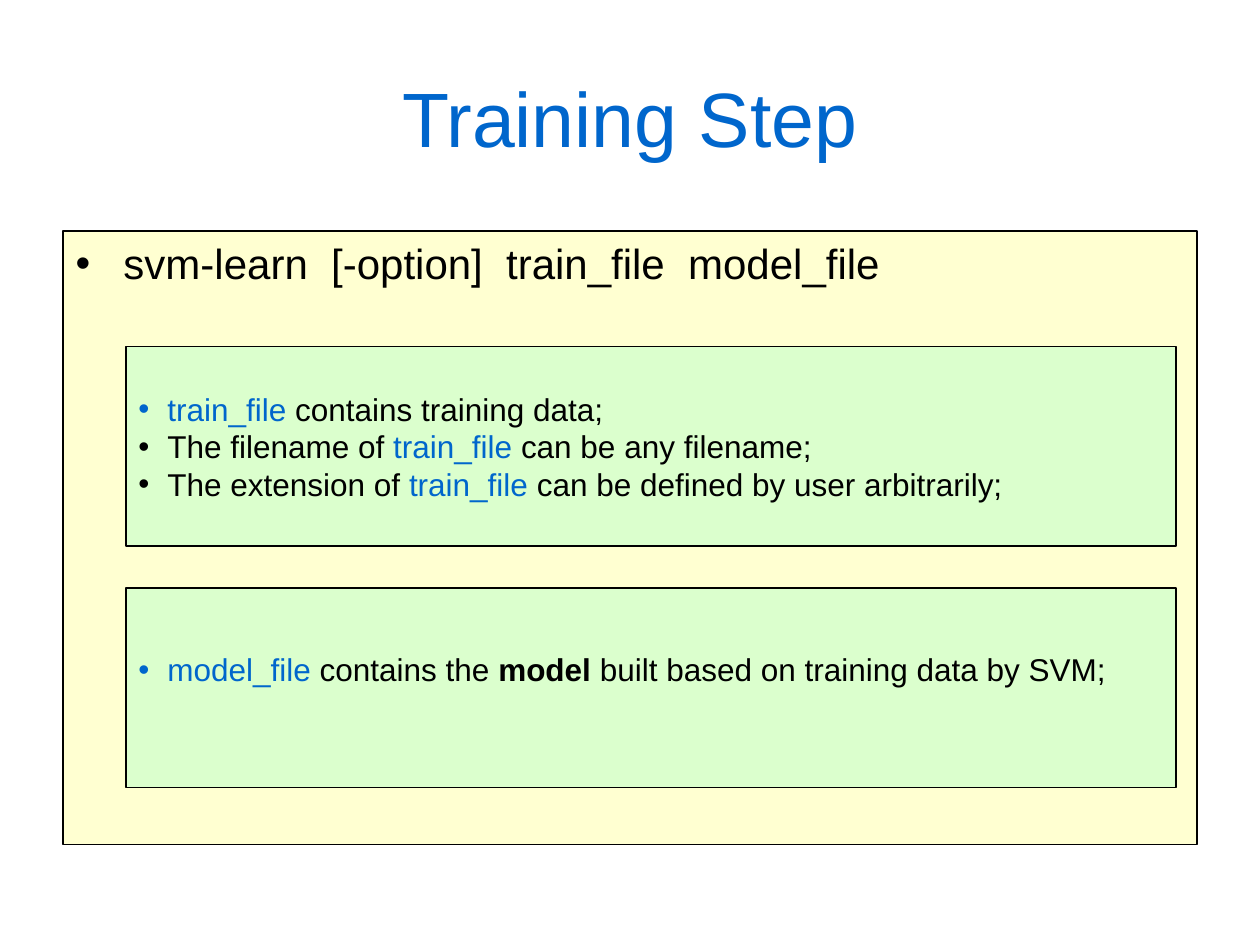
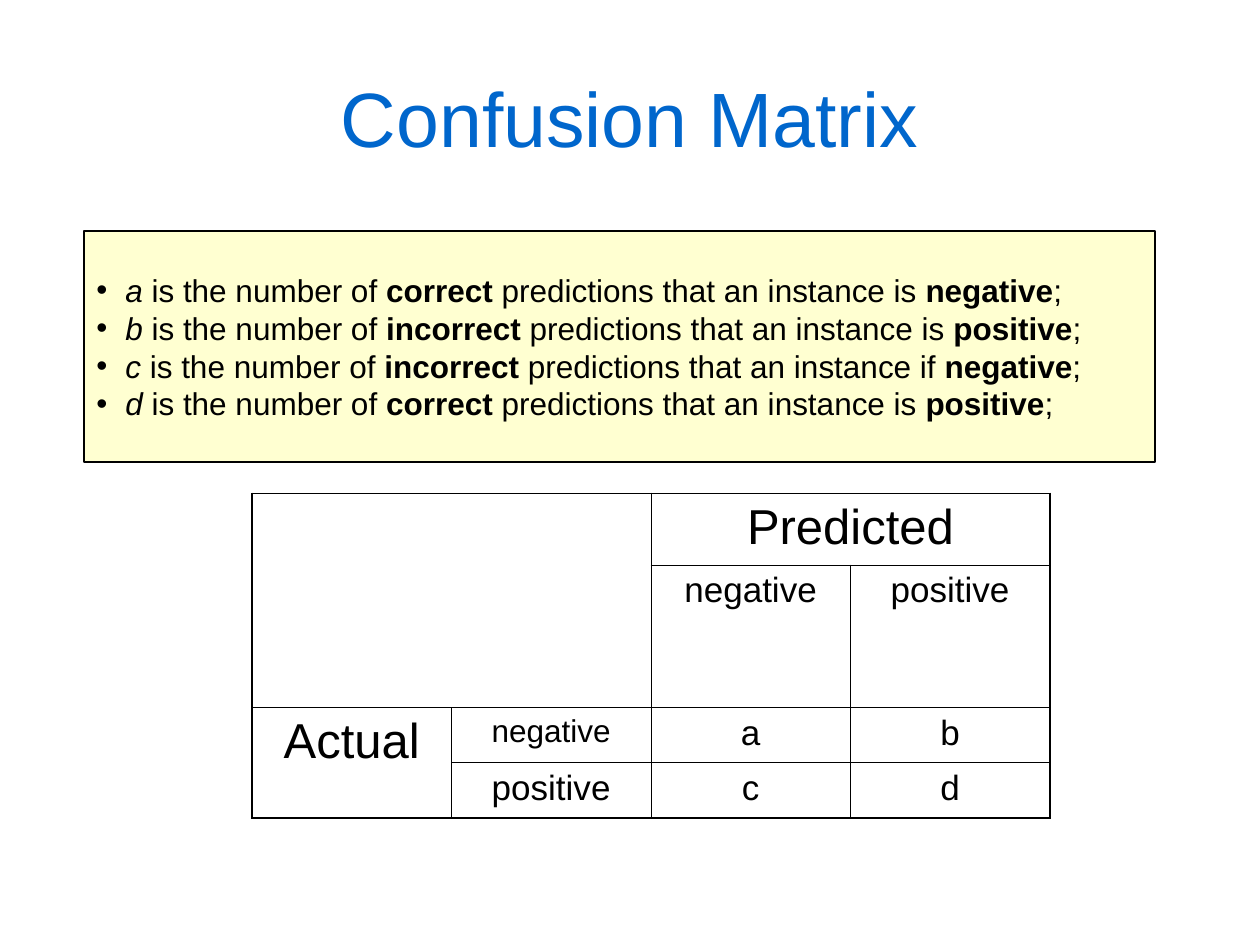
"""Builds two slides on SVM training and the confusion matrix."""
from lxml import etree
from pptx import Presentation
from pptx.dml.color import RGBColor
from pptx.enum.shapes import MSO_SHAPE
from pptx.enum.text import MSO_ANCHOR, PP_ALIGN
from pptx.oxml.ns import qn
from pptx.util import Inches, Pt

RECTANGLE = MSO_SHAPE.RECTANGLE
TOP, MIDDLE = MSO_ANCHOR.TOP, MSO_ANCHOR.MIDDLE
LEFT, CENTER = PP_ALIGN.LEFT, PP_ALIGN.CENTER
BLUE = RGBColor(0x00, 0x66, 0xCC)
BLACK = RGBColor(0x00, 0x00, 0x00)
YELLOW = RGBColor(0xFF, 0xFF, 0xCC)
GREEN = RGBColor(0xCC, 0xFF, 0xCC)
FONT = "Arial"
COLUMNS, ROWS = 120, 90
TITLE_AND_CONTENT, TITLE_ONLY = 1, 5


def add_text(paragraph, text, size=18, color=BLACK, bold=False, italic=False):
    """Append one formatted run to a paragraph."""
    run = paragraph.add_run()
    run.text = text
    font = run.font
    font.name, font.size = FONT, Pt(size)
    font.bold, font.italic = bold, italic
    font.color.rgb = color


def add_element(parent, tag, **attributes):
    """Append a drawing element to its parent."""
    return etree.SubElement(parent, qn(tag), attributes)


def add_bullet(paragraph, color, indent):
    """Give a paragraph a coloured round bullet with a hanging indent."""
    properties = paragraph._p.get_or_add_pPr()
    properties.set("marL", str(Inches(indent)))
    properties.set("indent", str(-Inches(indent)))
    bullet_color = add_element(properties, "a:buClr")
    add_element(bullet_color, "a:srgbClr", val=str(color))
    add_element(properties, "a:buFont", typeface=FONT)
    add_element(properties, "a:buChar", char="•")


class Deck:
    """Holds the shared style and the slide being built."""

    def __init__(self):
        """Start a presentation with a grid of twelfths of an inch."""
        self.presentation = Presentation()
        self.presentation.slide_width = Inches(10)
        self.presentation.slide_height = Inches(7.5)
        self.slide = None

    def x(self, columns):
        """Turn grid columns into a length."""
        return int(self.presentation.slide_width * columns / COLUMNS)

    def y(self, rows):
        """Turn grid rows into a length."""
        return int(self.presentation.slide_height * rows / ROWS)

    def place(self, shape, left, top, width, height):
        """Move and size a shape on the grid."""
        shape.left, shape.top = self.x(left), self.y(top)
        shape.width, shape.height = self.x(width), self.y(height)

    def add_slide(self, layout, title):
        """Start a slide with its title."""
        layouts = self.presentation.slide_layouts
        self.slide = self.presentation.slides.add_slide(layouts[layout])
        shape = self.slide.shapes.title
        self.place(shape, 6, 3.6, 108, 15)
        shape.text_frame.vertical_anchor = MIDDLE
        paragraph = shape.text_frame.paragraphs[0]
        paragraph.alignment = CENTER
        add_text(paragraph, title, size=44, color=BLUE)

    def style_panel(self, shape, color, opacity, anchor):
        """Give a panel its translucent fill, thin outline and text frame."""
        shape.shadow.inherit = False
        shape.fill.solid()
        shape.fill.fore_color.rgb = color
        color_element = shape._element.spPr.find(".//" + qn("a:srgbClr"))
        add_element(color_element, "a:alpha", val=str(opacity * 1000))
        shape.line.color.rgb = BLACK
        shape.line.width = Pt(0.74)
        shape.text_frame.word_wrap = True
        shape.text_frame.vertical_anchor = anchor

    def add_body(self, text, *position):
        """Fill the body placeholder with one bulleted line."""
        shape = self.slide.placeholders[1]
        self.place(shape, *position)
        self.style_panel(shape, YELLOW, 90, TOP)
        paragraph = shape.text_frame.paragraphs[0]
        paragraph.space_before = Pt(6)
        add_bullet(paragraph, BLACK, 0.38)
        add_text(paragraph, text, size=24)

    def add_panel(self, lines, *position, color=GREEN, opacity=70, bottom=0.05):
        """Add a panel of bulleted lines, each a list of text and format."""
        shape = self.slide.shapes.add_shape(RECTANGLE, 0, 0, 0, 0)
        self.place(shape, *position)
        self.style_panel(shape, color, opacity, MIDDLE)
        frame = shape.text_frame
        frame.margin_bottom = Inches(bottom)
        for index, line in enumerate(lines):
            paragraph = frame.add_paragraph() if index else frame.paragraphs[0]
            paragraph.alignment = LEFT
            add_bullet(paragraph, line[0][1].get("color", BLACK), 0.23)
            for text, style in line:
                add_text(paragraph, text, **style)

    def add_table(self, left, top, column_width, row_heights, spans, texts):
        """Add a ruled table with spans and texts keyed by row and column."""
        count = len(row_heights)
        frame = self.slide.shapes.add_table(
            count, count, self.x(left), self.y(top),
            self.x(column_width * count), self.y(sum(row_heights)))
        table = frame.table
        table.first_row = table.horz_banding = False
        for column in table.columns:
            column.width = self.x(column_width)
        for row, height in zip(table.rows, row_heights):
            row.height = self.y(height)
        for start, end in spans:
            table.cell(*start).merge(table.cell(*end))
        for row in range(count):
            for column in range(count):
                cell = table.cell(row, column)
                if not cell.is_spanned:
                    self.rule_cell(cell, row, column, count)
                cell.fill.background()
        for (row, column), (text, size) in texts.items():
            paragraph = table.cell(row, column).text_frame.paragraphs[0]
            paragraph.alignment = CENTER
            paragraph.space_before = Pt(size / 4)
            add_text(paragraph, text, size=size)

    def rule_cell(self, cell, row, column, count):
        """Draw heavier lines on the table's rim than inside it."""
        rims = {
            "a:lnL": column == 0,
            "a:lnR": column + cell.span_width == count,
            "a:lnT": row == 0,
            "a:lnB": row + cell.span_height == count,
        }
        properties = cell._tc.get_or_add_tcPr()
        for tag, on_rim in rims.items():
            width = Pt(1.08 if on_rim else 0.45)
            line = add_element(properties, tag, w=str(width))
            fill = add_element(line, "a:solidFill")
            add_element(fill, "a:srgbClr", val=str(BLACK))


def build_training(deck):
    """Build the slide on the training command."""
    deck.add_slide(TITLE_AND_CONTENT, "Training Step")
    deck.add_body("svm-learn  [-option]  train_file  model_file", 6, 22, 108, 58.4)
    train_file = ("train_file", {"color": BLUE})
    deck.add_panel([
        [train_file, (" contains training data;", {})],
        [("The filename of ", {}), train_file, (" can be any filename;", {})],
        [("The extension of ", {}), train_file,
         (" can be defined by user arbitrarily;", {})],
    ], 12, 33, 100, 19)
    deck.add_panel([
        [("model_file", {"color": BLUE}), (" contains the ", {}),
         ("model", {"bold": True}),
         (" built based on training data by SVM;", {})],
    ], 12, 56, 100, 19, bottom=0.34)


def build_matrix(deck):
    """Build the slide on the confusion matrix."""
    deck.add_slide(TITLE_ONLY, "Confusion Matrix")
    counts = [
        ("a", "correct", "is", "negative"),
        ("b", "incorrect", "is", "positive"),
        ("c", "incorrect", "if", "negative"),
        ("d", "correct", "is", "positive"),
    ]
    deck.add_panel([
        [(letter, {"italic": True}), (" is the number of ", {}),
         (verdict, {"bold": True}),
         (f" predictions that an instance {link} ", {}),
         (label, {"bold": True}), (";", {})]
        for letter, verdict, link, label in counts
    ], 8, 22, 102, 22, color=YELLOW, opacity=90)
    spans = [((0, 0), (1, 1)), ((0, 2), (0, 3)), ((2, 0), (3, 0))]
    texts = {
        (0, 2): ("Predicted", 28), (2, 0): ("Actual", 28),
        (1, 2): ("negative", 20), (1, 3): ("positive", 20),
        (2, 1): ("negative", 18), (3, 1): ("positive", 20),
    }
    for index, (letter, *_) in enumerate(counts):
        texts[2 + index // 2, 2 + index % 2] = (letter, 20)
    deck.add_table(24, 47, 19, [6.8, 13.6, 5.25, 5.25], spans, texts)


def main():
    """Build and save the presentation."""
    deck = Deck()
    build_training(deck)
    build_matrix(deck)
    deck.presentation.save("out.pptx")


main()
